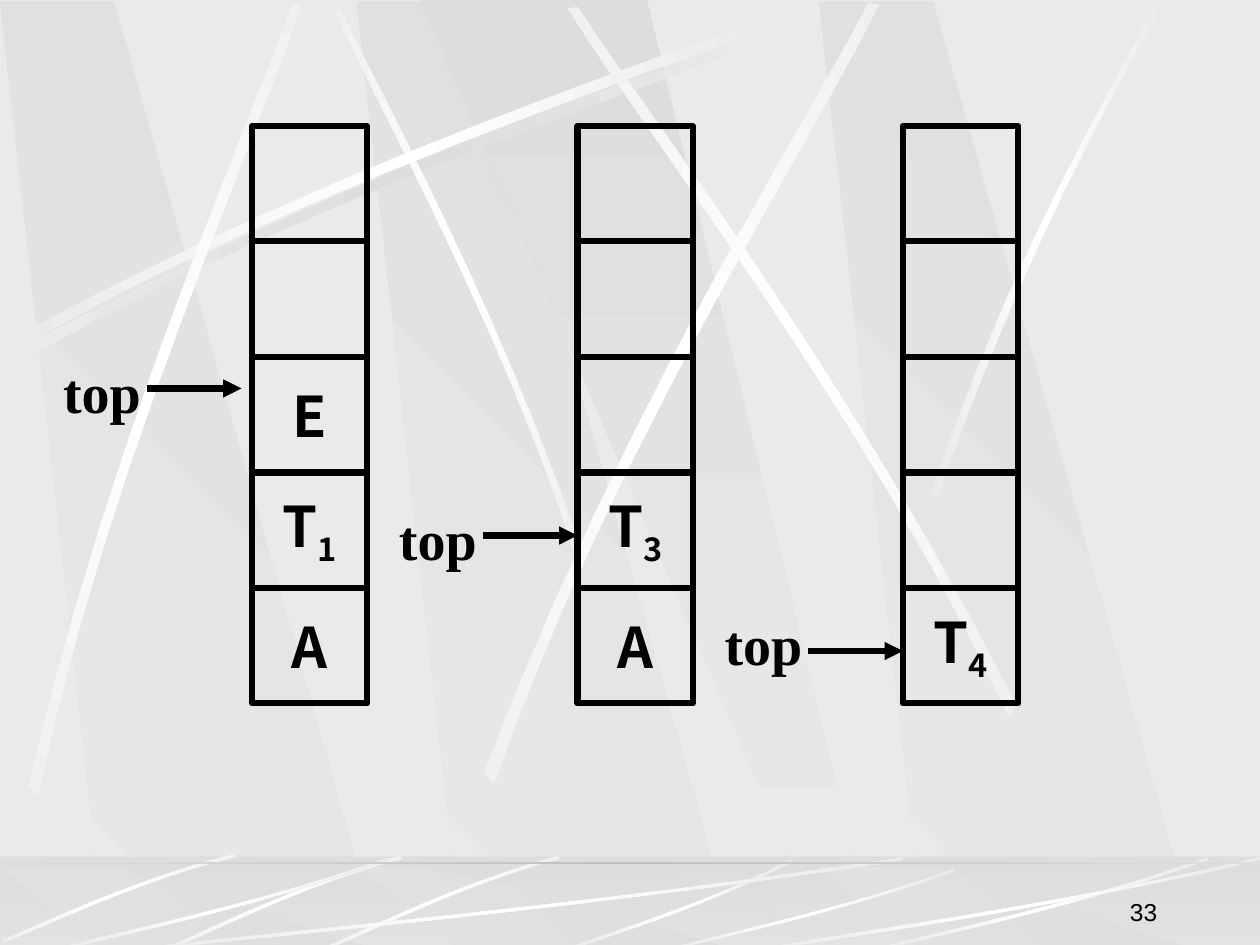
from copy import deepcopy

from lxml import etree
from pptx import Presentation
from pptx.dml.color import RGBColor
from pptx.enum.shapes import MSO_CONNECTOR, MSO_SHAPE
from pptx.enum.text import MSO_ANCHOR, PP_ALIGN
from pptx.oxml.ns import qn
from pptx.util import Pt

RECT = MSO_SHAPE.RECTANGLE
LINE = MSO_CONNECTOR.STRAIGHT
MIDDLE, BOTTOM, TOP = MSO_ANCHOR.MIDDLE, MSO_ANCHOR.BOTTOM, MSO_ANCHOR.TOP
CENTER, RIGHT, JUSTIFY = PP_ALIGN.CENTER, PP_ALIGN.RIGHT, PP_ALIGN.JUSTIFY

HEX = {"ink": "000000", "pale": "EAEAEA", "dim": "DDDDDD",
       "rule": "C0C0C0", "white": "FFFFFF"}
RGB = {name: RGBColor.from_string(code) for name, code in HEX.items()}

deck = Presentation()
deck.slide_width, deck.slide_height = Pt(720), Pt(540)
slide = deck.slides.add_slide(deck.slide_layouts[6])
slide.background.fill.solid()
slide.background.fill.fore_color.rgb = RGB["pale"]
shapes = slide.shapes


def shade(shape, names, angle):
    """Fill with evenly spaced gradient stops, angle clockwise, no outline."""
    shape.shadow.inherit = False
    shape.line.fill.background()
    fill = shape.fill
    fill.gradient()
    fill.gradient_angle = -angle % 360
    stops = shape._element.spPr.find(".//" + qn("a:gsLst"))
    while len(stops) < len(names):
        stops.append(deepcopy(stops[-1]))
    for i, (stop, name) in enumerate(zip(fill.gradient_stops, names)):
        stop.color.rgb = RGB[name]
        stop.position = i / (len(names) - 1)


def write(shape, runs, font, size, bold, align, anchor):
    """Put (text, baseline) runs into one paragraph."""
    frame = shape.text_frame
    frame.vertical_anchor = anchor
    para = frame.paragraphs[0]
    para.alignment = align
    for text, base in runs:
        run = para.add_run()
        run.text = text
        for key, value in {"name": font, "size": Pt(size), "bold": bold}.items():
            setattr(run.font, key, value)
        run.font.color.rgb = RGB["ink"]
        if base:
            run._r.get_or_add_rPr().set("baseline", str(base * 1000))
    return frame


# Outlines in a unit square; a streak is a curve, an edge and a curve back
BAND = [(0.28, 1), (1, 1), (0.3, 0), (0, 0)]
BEAM = [(0, 0), (0.9, 1), (1, 1), (0.5, 0)]
LONG = [(0, 0.96), (0.43, 0.43), (0.83, 0.15), (0.99, 0),
        (1, 0.02), (0.83, 0.19), (0.38, 0.5), (0, 1)]
TALL = [(0, 0.99), (0.4, 0.44), (0.79, 0.17), (0.95, 0),
        (1, 0), (0.52, 0.37), (0.16, 0.81), (0.03, 1)]
STEPS = 12


def outline(path, box, names, angle, turn=0, flip=""):
    """Draw a unit path inside box, mirrored along the axes in flip."""
    x, y, wide, high = box
    dots = path
    if len(path) == 8:
        dots = []
        for a, b, c, d in (path[:4], path[4:]):
            for step in range(STEPS + 1):
                t = step / STEPS
                parts = ((1 - t) ** 3, 3 * t * (1 - t) ** 2, 3 * t * t * (1 - t), t ** 3)
                dots.append(tuple(sum(p * q[i] for p, q in zip(parts, (a, b, c, d)))
                                  for i in (0, 1)))
    ends = [(Pt(x + wide * (1 - u if "x" in flip else u)),
             Pt(y + high * (1 - v if "y" in flip else v))) for u, v in dots]
    pen = shapes.build_freeform(*ends[0])
    pen.add_line_segments(ends[1:], close=True)
    shape = pen.convert_to_shape()
    shape.rotation = turn
    shade(shape, names, angle)


FADE = ("dim", "pale")
GLOW = ("pale", "white", "pale")
LEFTS = (203.8, 0, 468)

# Wall
for x in LEFTS:
    outline(BAND, (x, 1, 217.4, 541), FADE, 135)
outline(BEAM, (239.8, 0, 260, 541), FADE, 90)
outline(LONG, (14.4, 13, 437.8, 192.2), ("pale", "dim", "pale"), 180)
for path, box, turn, flip in (
    (LONG, (101.5, 97.2, 318.2, 126), 45, "x"),
    (LONG, (10.1, 7.2, 437.8, 192.2), 0, ""),
    (LONG, (-123.1, 131, 437.8, 192.2), 311.7, ""),
    (LONG, (166.3, 115.2, 449.3, 216.7), 321.6, ""),
    (LONG, (232.6, 109.4, 437.8, 192.2), 34.8, "x"),
    (TALL, (531.4, 0, 136.1, 285.8), 0, ""),
):
    outline(path, box, GLOW, 180, turn, flip)

# Floor
floor = shapes.add_shape(RECT, 0, Pt(489.6), Pt(720), Pt(54))
shade(floor, FADE, 90)
for x in LEFTS:
    outline(BAND, (x, 495.4, 217.4, 48), FADE, 135)
outline(BEAM, (239.8, 495.4, 260, 48), FADE, 90)

veil = shapes.add_shape(RECT, 0, Pt(488.9), Pt(720), Pt(54))
veil.shadow.inherit = False
veil.line.fill.background()
veil.fill.solid()
veil.fill.fore_color.rgb = RGB["dim"]
tint = veil._element.spPr.find(qn("a:solidFill"))[0]
etree.SubElement(tint, qn("a:alpha")).set("val", "50000")

for box, turn, flip in (
    ((322.6, 491, 129.6, 52.6), 0, "xy"),
    ((185.8, 486.7, 132.5, 59.8), 314.9, "x"),
    ((95.8, 486.7, 132.5, 59.8), 314.9, "x"),
    ((3.6, 483.1, 128.9, 61.2), 314.9, "x"),
    ((72, 489.6, 444.2, 54), 0, "xy"),
    ((30.2, 489.6, 192.2, 54), 0, "xy"),
    ((379.4, 496.1, 166.3, 47.5), 0, "xy"),
    ((498.2, 489.6, 192.2, 54), 0, "xy"),
    ((432, 489.6, 288, 54), 0, "xy"),
):
    outline(LONG, box, GLOW, 180, turn, flip)
rule = shapes.add_shape(RECT, 0, Pt(492.5), Pt(720), Pt(1.4))
shade(rule, ("dim", "rule", "dim"), 180)

# Stacks: labels from top to bottom, arrow tip, label top
CELL, GAP = 66, 186
STACKS = (
    (("", "", "E", "T1", "A"), (138, 222), 204),
    (("", "", "", "T3", "A"), (330, 306), 288),
    (("", "", "", "", "T4"), (516, 372), 348),
)
MARGINS = ("margin_left", "margin_top", "margin_right", "margin_bottom")
for col, (labels, (tip, level), head) in enumerate(STACKS):
    group = shapes.add_group_shape()
    for row, label in enumerate(labels):
        cell = group.shapes.add_shape(RECT, Pt(144 + GAP * col), Pt(72 + CELL * row),
                                      Pt(CELL), Pt(CELL))
        cell.shadow.inherit = False
        cell.fill.background()
        cell.line.color.rgb = RGB["ink"]
        cell.line.width = Pt(3.5)
        if label:
            runs = [(label[0], 0)] + [(digit, -25) for digit in label[1:]]
            frame = write(cell, runs, "Noto Sans CJK SC", 32, True, CENTER, MIDDLE)
            frame.word_wrap = False
            for side in MARGINS:
                setattr(frame, side, 0)

    arrow = shapes.add_connector(LINE, Pt(tip - 54), Pt(level), Pt(tip), Pt(level))
    arrow.line.color.rgb = RGB["ink"]
    arrow.line.width = Pt(3.5)
    etree.SubElement(arrow.line._get_or_add_ln(), qn("a:tailEnd")).set("type", "triangle")
    etree.SubElement(arrow._element.spPr, qn("a:effectLst"))

    note = shapes.add_textbox(Pt(tip - 102), Pt(head), Pt(48), Pt(42.5))
    frame = write(note, [("top", 0)], "Times New Roman", 32, True, JUSTIFY, TOP)
    frame.word_wrap = True
    for side in MARGINS:
        setattr(frame, side, 0)

page = shapes.add_textbox(Pt(518.4), Pt(496.8), Pt(150), Pt(36))
write(page, [("33", 0)], "Arial", 14, False, RIGHT, BOTTOM).word_wrap = True

deck.save("out.pptx")
